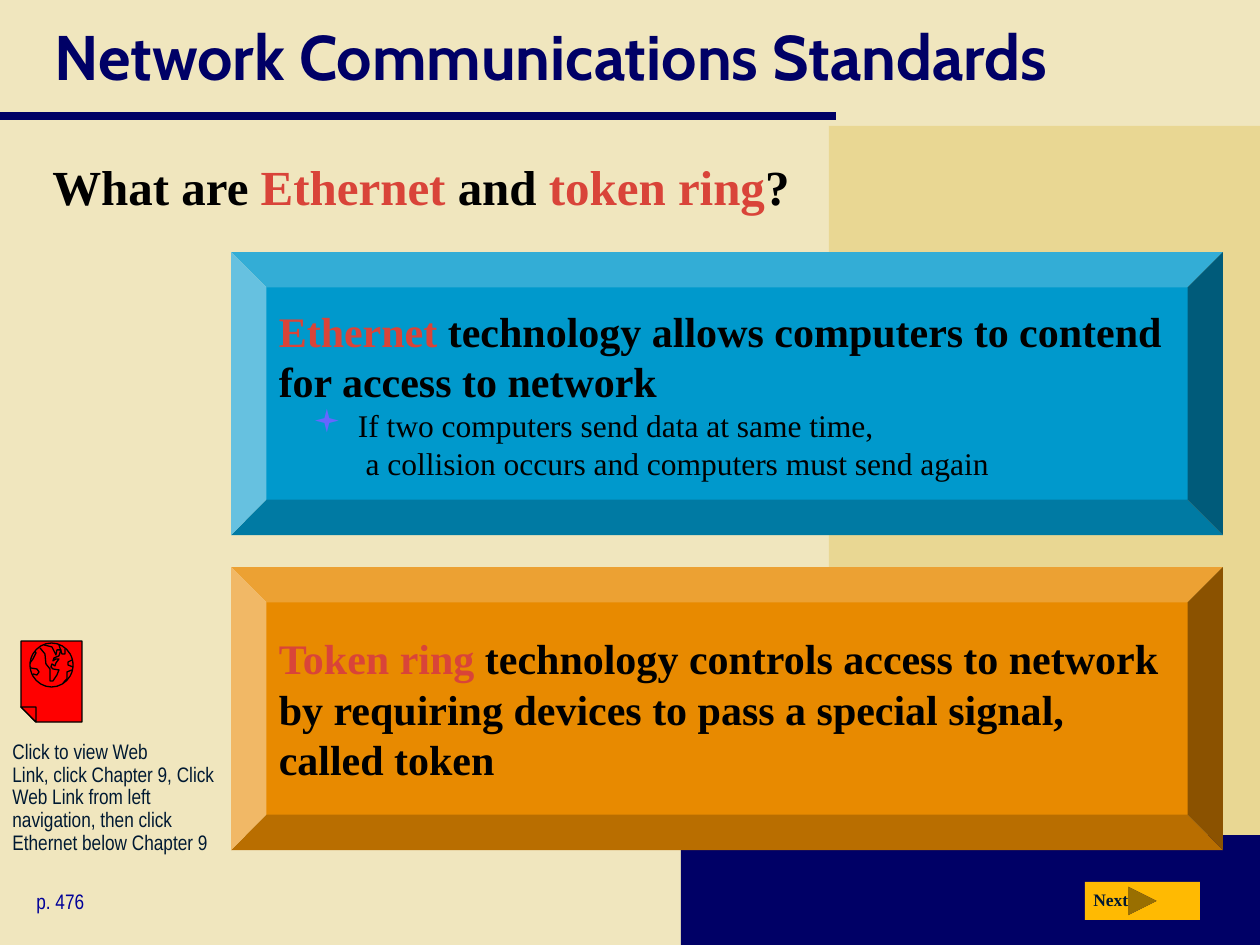
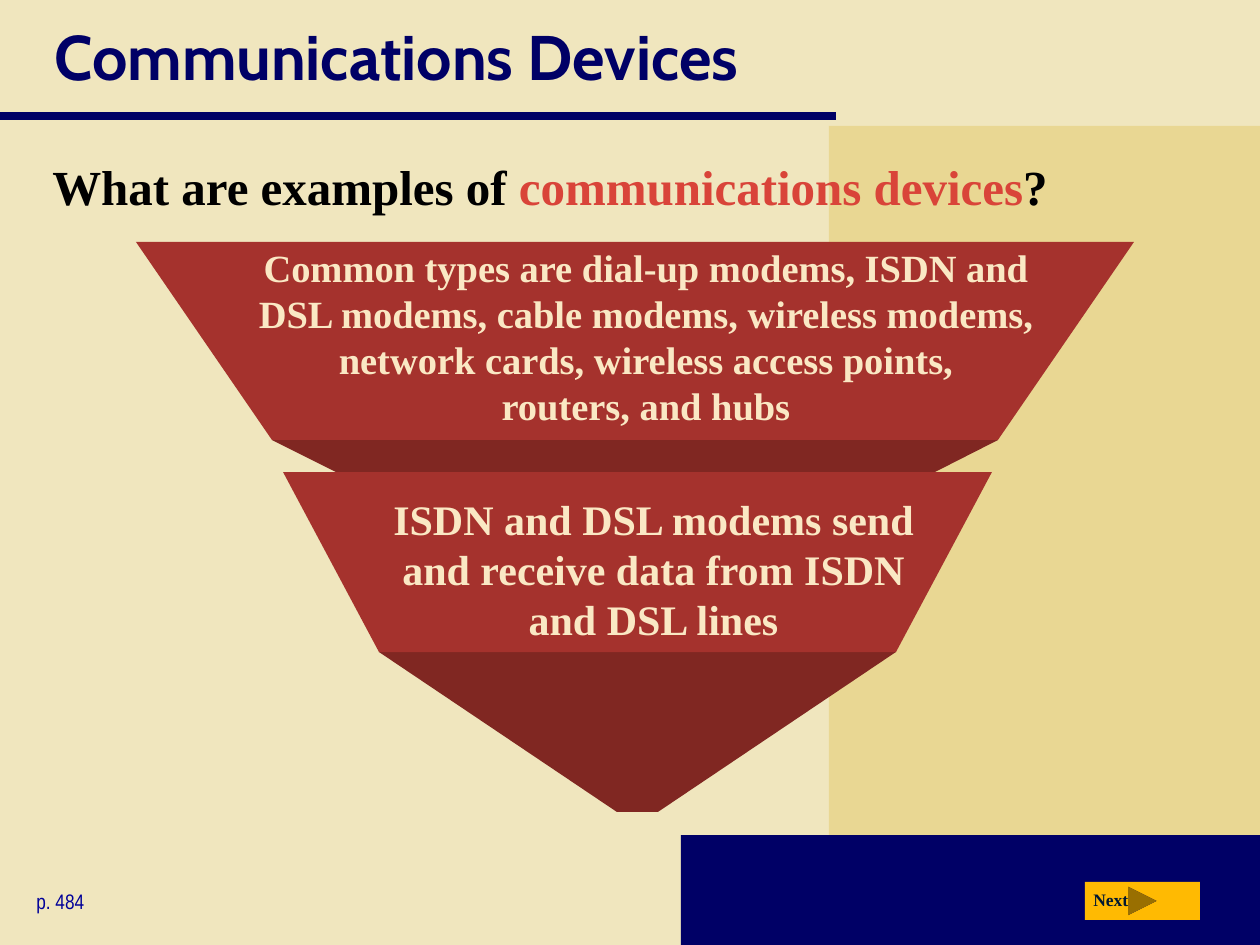
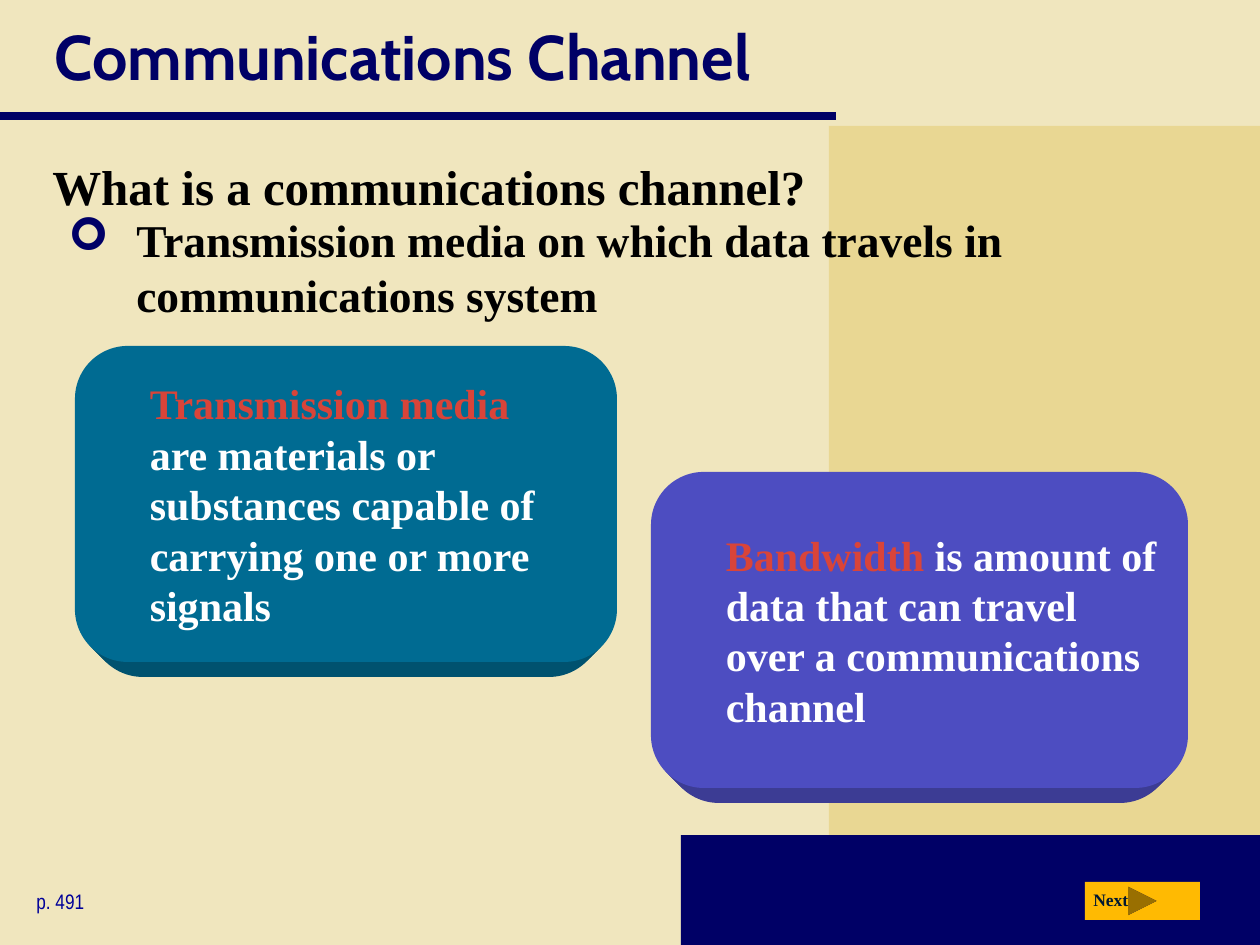
"""Build three slides on network standards, communications devices and channels."""
from lxml.etree import SubElement
from pptx import Presentation
from pptx.dml.color import RGBColor
from pptx.enum.shapes import MSO_CONNECTOR, MSO_SHAPE as SHAPE
from pptx.enum.text import MSO_ANCHOR as ANCHOR, PP_ALIGN as ALIGN
from pptx.oxml.ns import qn
from pptx.util import Inches, Pt

PX = Inches(1) / 126
SERIF, NARROW, HEADING = "Times New Roman", "Arial Narrow", "Cabin"
CREAM = RGBColor(0xF0, 0xE6, 0xBE)
SAND = RGBColor(0xE9, 0xD7, 0x93)
NAVY = RGBColor(0x00, 0x00, 0x66)
INK = RGBColor(0x00, 0x19, 0x32)
PAGE_BLUE = RGBColor(0x00, 0x00, 0x99)
AMBER = RGBColor(0xFF, 0xBA, 0x02)
BLACK = RGBColor(0x00, 0x00, 0x00)
WHITE = RGBColor(0xFF, 0xFF, 0xFF)
KEYWORD = RGBColor(0xD9, 0x44, 0x39)
SKY = RGBColor(0x00, 0x99, 0xCC)
ORANGE = RGBColor(0xE8, 0x8A, 0x00)
VIOLET = RGBColor(0x66, 0x66, 0xFF)
RED = RGBColor(0xFF, 0x00, 0x00)
BRICK = RGBColor(0xA5, 0x32, 0x2D)
BRICK_SIDE = RGBColor(0x80, 0x27, 0x22)
PALE = RGBColor(0xFA, 0xE8, 0xC4)
TEAL = RGBColor(0x00, 0x6B, 0x92)
TEAL_SIDE = RGBColor(0x00, 0x52, 0x6F)
INDIGO = RGBColor(0x4D, 0x4D, 0xC1)
INDIGO_SIDE = RGBColor(0x3C, 0x3C, 0x94)


def draw(slide, kind, geometry, fill=None, line=None, adjust=None):
    if kind == "text":
        box = slide.shapes.add_textbox(*(round(n * PX) for n in geometry))
        box.text_frame.word_wrap = True
        return box
    if kind in ("closed", "open"):
        builder = slide.shapes.build_freeform(*geometry[0], scale=PX)
        builder.add_line_segments(geometry[1:], close=kind == "closed")
        shape = builder.convert_to_shape()
    else:
        shape = slide.shapes.add_shape(kind, *(round(n * PX) for n in geometry))
    shape.shadow.inherit = False
    if fill is None:
        shape.fill.background()
    else:
        shape.fill.solid()
        shape.fill.fore_color.rgb = fill
    if line is None:
        shape.line.fill.background()
    else:
        shape.line.color.rgb = line
        shape.line.width = Pt(0.75)
    if adjust is not None:
        shape.adjustments[0] = adjust
    return shape


def write(shape, runs, size, font=SERIF, bold=True, align=ALIGN.LEFT,
          margin=0, indent=0, bullet=None):
    frame = shape.text_frame
    paragraph = frame.add_paragraph() if frame.text else frame.paragraphs[0]
    paragraph.alignment = align
    properties = paragraph._p.get_or_add_pPr()
    properties.set("marL", str(round(margin * PX)))
    properties.set("indent", str(round(indent * PX)))
    if bullet:
        mark, color = bullet
        mark_color = SubElement(properties, qn("a:buClr"))
        SubElement(mark_color, qn("a:srgbClr"), val=str(color))
        SubElement(properties, qn("a:buFont"), typeface="Wingdings")
        SubElement(properties, qn("a:buChar"), char=mark)
    for text, color in runs:
        for number, part in enumerate(text.split("\n")):
            if number:
                paragraph.add_line_break()
            if part:
                run = paragraph.add_run()
                run.text = part
                run.font.name, run.font.size, run.font.bold = font, Pt(size), bold
                run.font.color.rgb = color
    return paragraph


prs = Presentation()
prs.slide_width, prs.slide_height = Inches(10), Inches(7.5)

pages = [
    ("Network Communications Standards", "p. 476",
     [("What are ", BLACK), ("Ethernet ", KEYWORD), ("and ", BLACK),
      ("token ring", KEYWORD), ("?", BLACK)]),
    ("Communications Devices", "p. 484",
     [("What are examples of ", BLACK), ("communications devices", KEYWORD),
      ("?", BLACK)]),
    ("Communications Channel", "p. 491",
     [("What is a communications channel?", BLACK)]),
]
slides = []
for title, page, question in pages:
    slide = prs.slides.add_slide(prs.slide_layouts[6])
    slide.background.fill.solid()
    slide.background.fill.fore_color.rgb = CREAM
    draw(slide, SHAPE.RECTANGLE, (829, 126, 431, 819), SAND)
    draw(slide, SHAPE.RECTANGLE, (681, 835, 579, 110), NAVY)
    rule = slide.shapes.add_connector(
        MSO_CONNECTOR.STRAIGHT, 0, round(116 * PX), round(836 * PX), round(116 * PX))
    rule.line.color.rgb = NAVY
    rule.line.width = Pt(5)
    SubElement(rule._element.spPr, qn("a:effectLst"))
    heading = draw(slide, "text", (42, 0, 1183, 111))
    heading.text_frame.vertical_anchor = ANCHOR.MIDDLE
    write(heading, [(title, NAVY)], 36, HEADING)
    write(draw(slide, "text", (40, 150, 1183, 91)), question, 28)
    draw(slide, SHAPE.ACTION_BUTTON_FORWARD_OR_NEXT, (1085, 882, 115, 38), AMBER)
    write(draw(slide, "text", (1081, 883, 64, 34)), [("Next", INK)], 10)
    write(draw(slide, "text", (24, 882, 213, 38)), [(page, PAGE_BLUE)], 12,
          NARROW, bold=False)
    slides.append(slide)
standards, devices, channel = slides

ethernet = draw(standards, SHAPE.BEVEL, (231, 252, 992, 283), SKY, adjust=0.125)
write(ethernet, [("Ethernet", KEYWORD),
                 (" technology allows computers to contend\nfor access to network", BLACK)], 24)
write(ethernet, [("If two computers send data at same time,\n"
                  " a collision occurs and computers must send again", BLACK)],
      18, bold=False, margin=79, indent=-45, bullet=("▪", VIOLET))
token_ring = draw(standards, SHAPE.BEVEL, (231, 567, 992, 283), ORANGE, adjust=0.125)
write(token_ring, [("Token ring", KEYWORD),
                   (" technology controls access to network\nby requiring devices to pass "
                    "a special signal,\ncalled token", BLACK)], 24)

web_link = draw(standards, "text", (0, 735, 273, 84))
write(web_link, [("Click to view Web\nLink, click Chapter 9, Click\nWeb Link from left\n"
                  "navigation, then click\nEthernet below Chapter 9", INK)],
      12, NARROW, bold=False).line_spacing = 0.9
draw(standards, "closed", [(21, 641), (82, 641), (82, 722), (36, 722), (21, 707)], RED, BLACK)
draw(standards, "closed", [(21, 707), (36, 707), (36, 722)], RED, BLACK)
draw(standards, SHAPE.OVAL, (30, 643, 43, 44), RED, BLACK)
americas = [(44, 645), (52, 647), (54, 651), (56, 655), (57, 650), (61, 650), (59, 656),
            (54, 658), (53, 661), (56, 659), (59, 659), (56, 663), (55, 666), (52, 664),
            (51, 667), (53, 669), (59, 670), (57, 675), (53, 681), (50, 681), (50, 669),
            (46, 664), (45, 654), (40, 648)]
coasts = [
    americas,
    [(30, 663), (33, 659), (36, 653), (35, 651)],
    [(31, 668), (37, 669), (39, 672), (37, 675), (33, 674)],
    [(63, 683), (67, 679), (67, 672), (72, 670)],
    [(73, 667), (68, 665), (68, 662), (72, 660)],
    [(59, 645), (62, 654), (65, 654), (65, 649)],
]
for coast in coasts:
    draw(standards, "open", coast, line=BLACK)

funnel = [
    ([(272, 440), (998, 440), (935, 472), (336, 472)], BRICK_SIDE),
    ([(136, 242), (1134, 242), (998, 440), (272, 440)], BRICK),
    ([(379, 652), (896, 652), (658, 812), (617, 812)], BRICK_SIDE),
    ([(283, 472), (992, 472), (896, 652), (379, 652)], BRICK),
]
for corners, color in funnel:
    draw(devices, "closed", corners, color)
common_types = draw(devices, "text", (236, 231, 820, 204))
common_types.text_frame.margin_top = Inches(0.1)
write(common_types, [("Common types are dial-up modems, ISDN and DSL modems, cable modems, "
                      "wireless modems, network cards, wireless access points,\n"
                      "routers, and hubs", PALE)], 22, align=ALIGN.CENTER)
write(draw(devices, "text", (368, 487, 571, 164)),
      [("ISDN and DSL modems send and receive data from ISDN and DSL lines", PALE)],
      24, align=ALIGN.CENTER)

write(draw(channel, "text", (40, 206, 1183, 140)),
      [("Transmission media on which data travels in communications system", BLACK)],
      26, margin=84, indent=-68, bullet=("➢", NAVY))
terms = [
    (651, 472, 537, INDIGO, INDIGO_SIDE, "Bandwidth ",
     "is amount of data that can travel over a communications channel"),
    (75, 346, 542, TEAL, TEAL_SIDE, "Transmission media\n",
     "are materials or substances capable of carrying one or more signals"),
]
for left, top, width, face, side, term, meaning in terms:
    for depth in range(15, 0, -3):
        draw(channel, SHAPE.ROUNDED_RECTANGLE,
             (left + depth, top + depth, width - 2 * depth, 316), side, adjust=0.167)
    card = draw(channel, SHAPE.ROUNDED_RECTANGLE, (left, top, width, 316), face, adjust=0.167)
    write(card, [(term, KEYWORD), (meaning, WHITE)], 24, margin=47)

prs.save("out.pptx")
